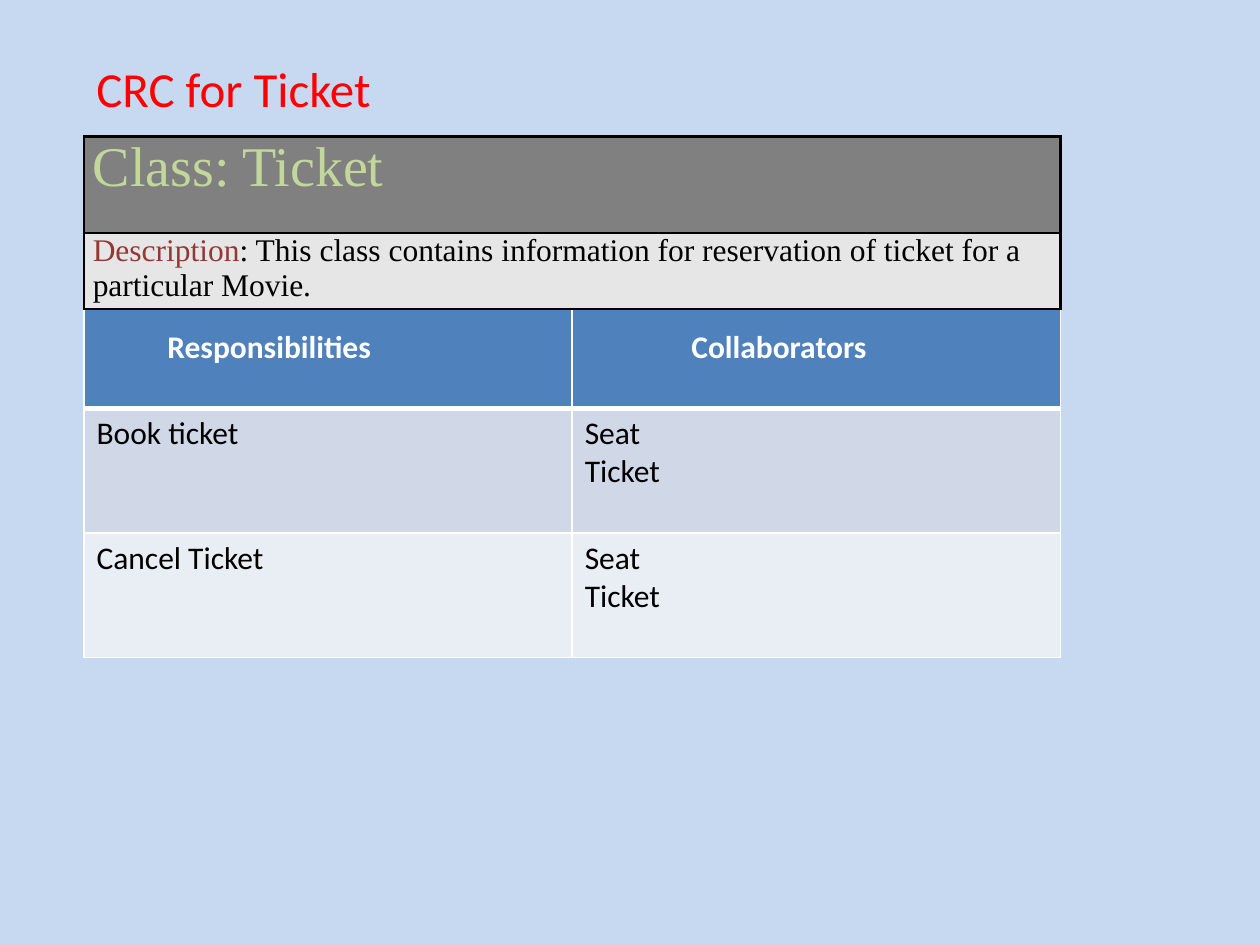
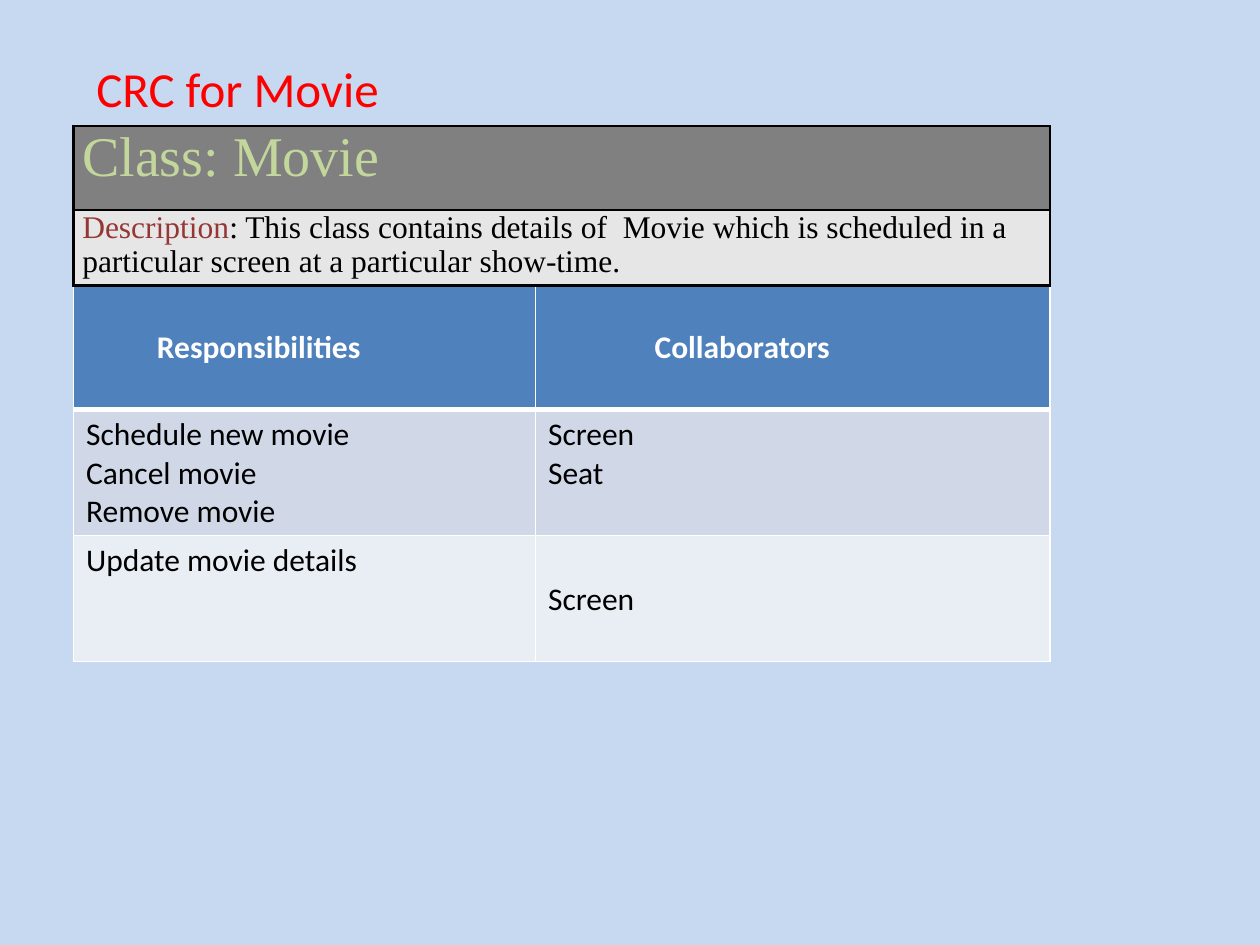
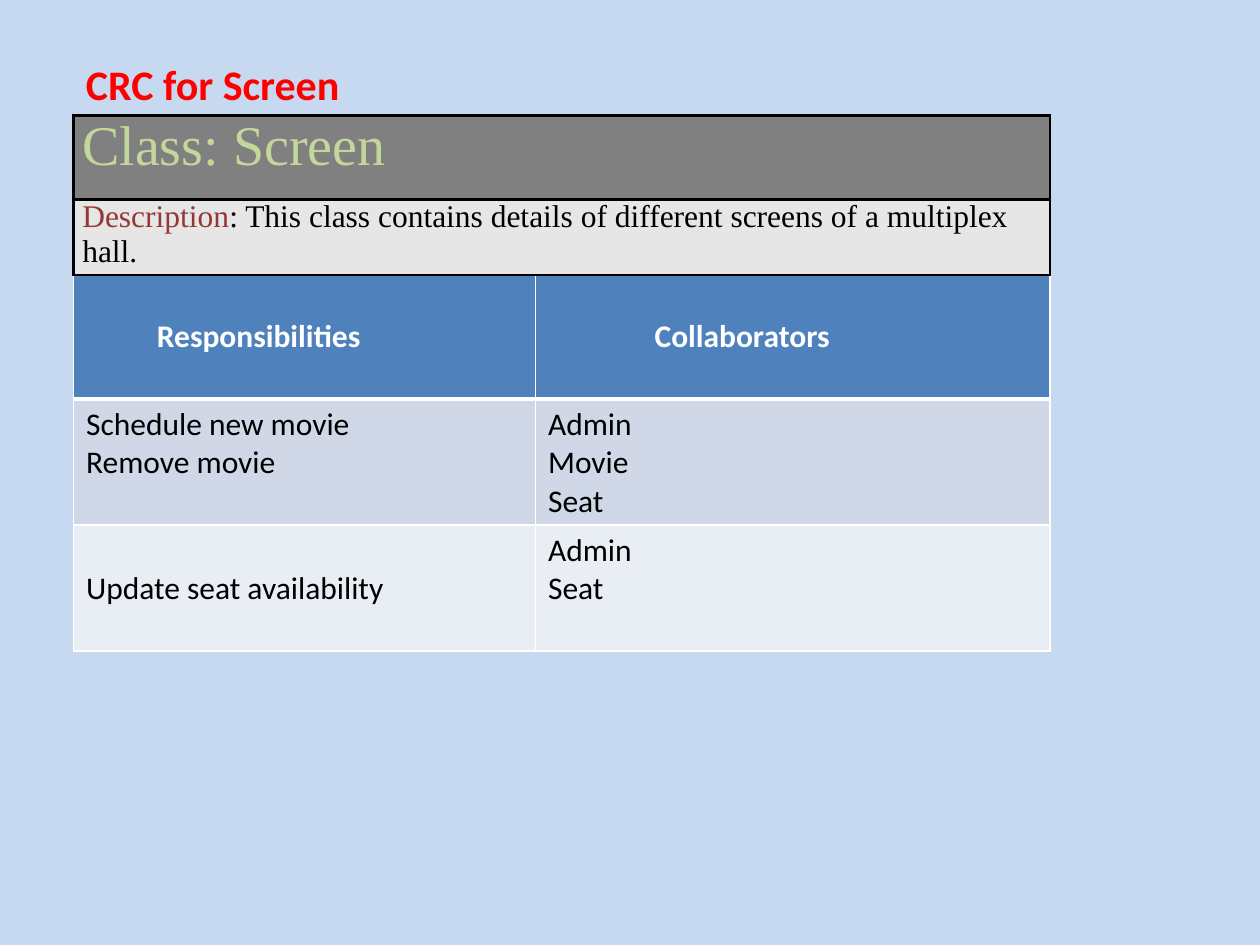
"""Builds three class-responsibility-collaborator card slides."""
from dataclasses import dataclass

from lxml import etree
from pptx import Presentation
from pptx.dml.color import RGBColor
from pptx.enum.text import MSO_ANCHOR, PP_ALIGN
from pptx.oxml.ns import qn
from pptx.util import Emu, Inches, Pt

LEFT = PP_ALIGN.LEFT
TOP = MSO_ANCHOR.TOP
GRID = Inches(1) / 12
SLIDE_COLUMNS, SLIDE_ROWS = 120, 90
CARD_COLUMNS = 93
DESCRIPTION_ROWS = 7.2
TITLE_TOP, TITLE_COLUMNS = 5, 31
PADDING_X, PADDING_Y = 1.2, 0.6
CARD_PADDING_X = 0.84
LINE_SPACING = 1.22
HEADINGS = (("Responsibilities", 6.75), ("Collaborators", 10.15))


@dataclass(frozen=True)
class Theme:
    """Colours, fonts and type sizes shared by the slides."""

    background: str = "C6D9F1"
    title: str = "FF0000"
    class_name: str = "C3D69B"
    class_fill: str = "808080"
    label: str = "953735"
    description_fill: str = "E6E6E6"
    header_fill: str = "4F81BD"
    band_fills: tuple[str, str] = ("D0D8E8", "E9EDF4")
    light: str = "FFFFFF"
    dark: str = "000000"
    sans: str = "Calibri"
    serif: str = "Times New Roman"
    class_size: float = 32
    body_size: float = 18
    card_border: float = 1.5
    thin_border: float = 1
    header_border: float = 3


THEME = Theme()


@dataclass(frozen=True)
class Entry:
    """Lines of one body cell and the number of lines left free above them."""

    lines: tuple[str, ...]
    lines_above: int = 0


@dataclass(frozen=True)
class Card:
    """One card, with its places in grid columns and rows."""

    name: str
    description: str
    duties: tuple[tuple[Entry, Entry], ...]
    left: float = 7
    top: float = 12
    class_rows: float = 8
    duty_top: float = 27
    duty_rows: float = 12
    duty_columns: tuple[float, float] = (44, 49)
    title_left: float = 8
    title_size: float = 28
    title_bold: bool = False


CARDS = (
    Card(
        "Ticket",
        "This class contains information for reservation of ticket for a particular Movie.",
        (
            (Entry(("Book ticket",)), Entry(("Seat", "Ticket"))),
            (Entry(("Cancel Ticket",)), Entry(("Seat", "Ticket"))),
        ),
        left=8,
        top=13,
        class_rows=9.2,
        duty_rows=11.88,
        duty_columns=(46.5, 46.5),
    ),
    Card(
        "Movie",
        "This class contains details of  Movie which is scheduled in a particular "
        "screen at a particular show-time.",
        (
            (
                Entry(("Schedule new movie", "Cancel movie", "Remove movie")),
                Entry(("Screen", "Seat")),
            ),
            (Entry(("Update movie details",)), Entry(("Screen",), lines_above=1)),
        ),
    ),
    Card(
        "Screen",
        "This class contains details of different screens of a multiplex hall.",
        (
            (Entry(("Schedule new movie", "Remove movie")), Entry(("Admin", "Movie", "Seat"))),
            (Entry(("Update seat availability",), lines_above=1), Entry(("Admin", "Seat"))),
        ),
        top=11,
        duty_top=26,
        title_left=7,
        title_size=24,
        title_bold=True,
    ),
)


def grid(units: float) -> Emu:
    """Return the length of a number of grid units."""
    return Emu(round(units * GRID))


def line_units(size: float) -> float:
    """Return the height of one text line in grid units."""
    return size * LINE_SPACING / 6


def write(paragraph, text: str, *, size: float = THEME.body_size, color: str = THEME.dark,
          font: str = THEME.sans, bold: bool = False) -> None:
    """Append formatted text to a paragraph."""
    paragraph.alignment = LEFT
    run = paragraph.add_run()
    run.text = text
    run.font.size = Pt(size)
    run.font.name = font
    run.font.bold = bold
    run.font.color.rgb = RGBColor.from_string(color)


def set_borders(cell, color: str, width: float, *, top: float | None = None,
                bottom: float | None = None) -> None:
    """Draw the four borders of a cell."""
    properties = cell._tc.get_or_add_tcPr()
    widths = {"lnL": width, "lnR": width, "lnT": top or width, "lnB": bottom or width}
    for index, (side, points) in enumerate(widths.items()):
        line = etree.Element(qn(f"a:{side}"), w=str(Pt(points)))
        fill = etree.SubElement(line, qn("a:solidFill"))
        etree.SubElement(fill, qn("a:srgbClr"), val=color)
        properties.insert(index, line)


def style_cell(cell, fill: str, *, left: float = PADDING_X, right: float = PADDING_X,
               top: float = PADDING_Y, bottom: float = PADDING_Y) -> None:
    """Set the fill and the margins of a cell."""
    cell.fill.solid()
    cell.fill.fore_color.rgb = RGBColor.from_string(fill)
    cell.vertical_anchor = TOP
    cell.margin_left, cell.margin_right = grid(left), grid(right)
    cell.margin_top, cell.margin_bottom = grid(top), grid(bottom)


def add_grid_table(slide, left: float, top: float, columns: tuple[float, ...],
                   rows: tuple[float, ...]):
    """Add a plain table whose columns and rows are given in grid units."""
    shape = slide.shapes.add_table(len(rows), len(columns), grid(left), grid(top),
                                   grid(sum(columns)), grid(sum(rows)))
    table = shape.table
    table.first_row = table.horz_banding = False
    for column, width in zip(table.columns, columns):
        column.width = grid(width)
    for row, height in zip(table.rows, rows):
        row.height = grid(height)
    return table


def add_duties(slide, card: Card) -> None:
    """Add the table of responsibilities and collaborators."""
    table = add_grid_table(slide, card.left, card.duty_top, card.duty_columns,
                           (card.duty_rows,) * (len(card.duties) + 1))
    line = line_units(THEME.body_size)
    for column, (heading, indent) in enumerate(HEADINGS):
        cell = table.cell(0, column)
        style_cell(cell, THEME.header_fill, left=PADDING_X + indent, top=PADDING_Y + line)
        set_borders(cell, THEME.light, THEME.thin_border, bottom=THEME.header_border)
        write(cell.text_frame.paragraphs[0], heading, color=THEME.light, bold=True)
    for row, entries in enumerate(card.duties, start=1):
        for column, entry in enumerate(entries):
            cell = table.cell(row, column)
            style_cell(cell, THEME.band_fills[row - 1],
                       top=PADDING_Y + entry.lines_above * line)
            set_borders(cell, THEME.light, THEME.thin_border,
                        top=THEME.header_border if row == 1 else None)
            frame = cell.text_frame
            for index, text in enumerate(entry.lines):
                write(frame.add_paragraph() if index else frame.paragraphs[0], text)


def add_title(slide, card: Card) -> None:
    """Add the slide title."""
    height = line_units(card.title_size) + 2 * PADDING_Y
    box = slide.shapes.add_textbox(grid(card.title_left), grid(TITLE_TOP),
                                   grid(TITLE_COLUMNS), grid(height))
    frame = box.text_frame
    frame.word_wrap = True
    write(frame.paragraphs[0], f"CRC for {card.name}", size=card.title_size,
          color=THEME.title, bold=card.title_bold)


def add_class(slide, card: Card) -> None:
    """Add the table with the class name and its description."""
    table = add_grid_table(slide, card.left, card.top, (CARD_COLUMNS,),
                           (card.class_rows, DESCRIPTION_ROWS))
    name, description = table.cell(0, 0), table.cell(1, 0)
    for cell, fill in ((name, THEME.class_fill), (description, THEME.description_fill)):
        style_cell(cell, fill, left=CARD_PADDING_X, right=CARD_PADDING_X, top=0, bottom=0)
        set_borders(cell, THEME.dark, THEME.card_border)
    write(name.text_frame.paragraphs[0], f"Class: {card.name}", size=THEME.class_size,
          color=THEME.class_name, font=THEME.serif)
    paragraph = description.text_frame.paragraphs[0]
    write(paragraph, "Description", color=THEME.label, font=THEME.serif)
    write(paragraph, f": {card.description}", font=THEME.serif)


def main() -> None:
    """Build and save the presentation."""
    presentation = Presentation()
    presentation.slide_width = grid(SLIDE_COLUMNS)
    presentation.slide_height = grid(SLIDE_ROWS)
    for card in CARDS:
        slide = presentation.slides.add_slide(presentation.slide_layouts[6])
        slide.background.fill.solid()
        slide.background.fill.fore_color.rgb = RGBColor.from_string(THEME.background)
        add_duties(slide, card)
        add_title(slide, card)
        add_class(slide, card)
    presentation.save("out.pptx")


main()
